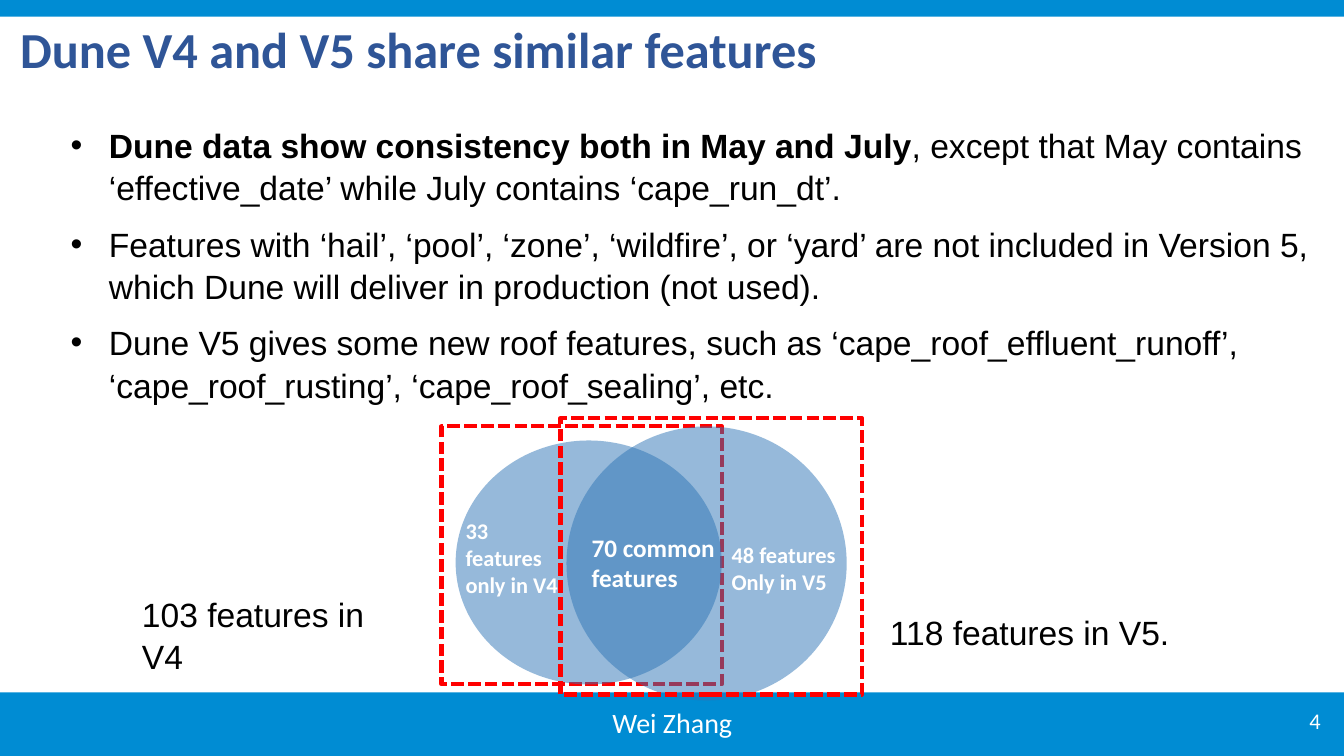
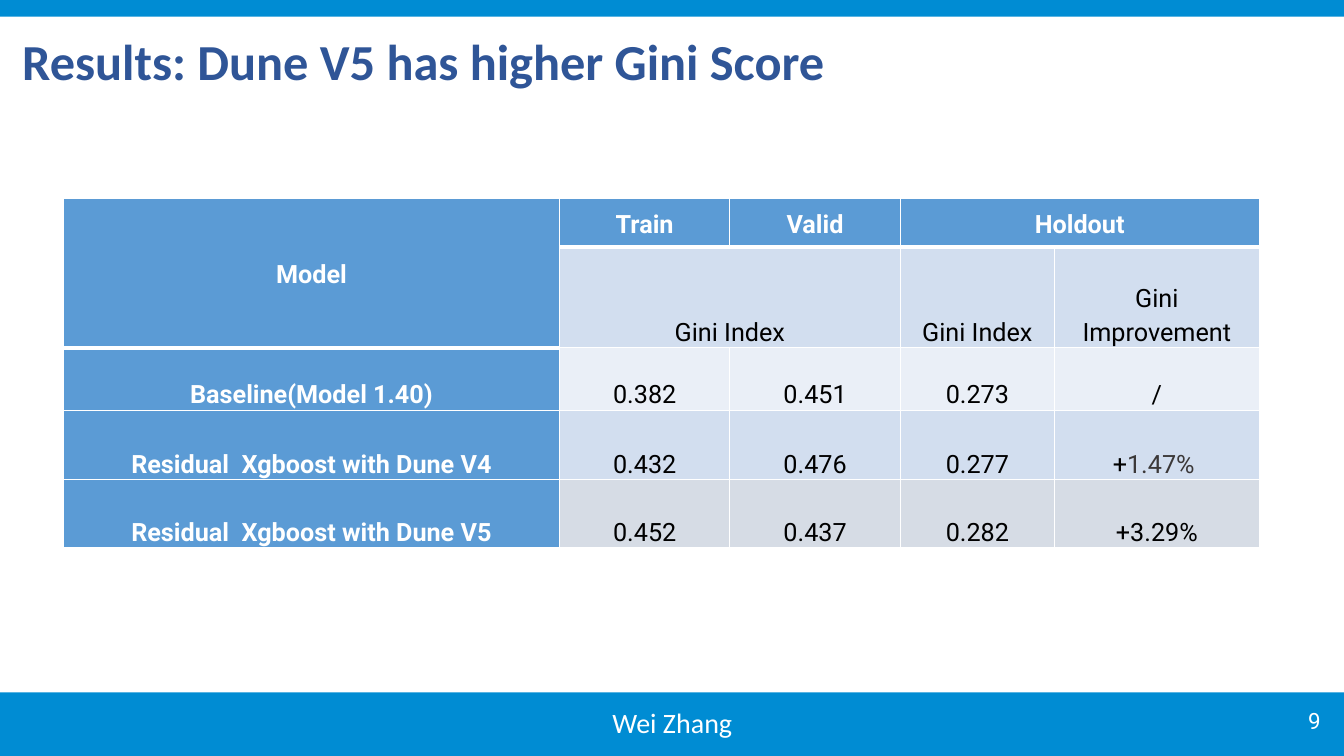
from pptx import Presentation
from pptx.dml.color import RGBColor
from pptx.enum.dml import MSO_LINE
from pptx.enum.shapes import MSO_SHAPE
from pptx.enum.text import MSO_ANCHOR, MSO_AUTO_SIZE, PP_ALIGN
from pptx.oxml.ns import qn
from pptx.util import Inches, Pt
from lxml.etree import SubElement

WIDE, HIGH = Inches(13.333), Inches(7.5)
WHITE = RGBColor(0xFF, 0xFF, 0xFF)
BLACK = RGBColor(0, 0, 0)
BAND = RGBColor(0x00, 0x8C, 0xD3)
NAVY = RGBColor(0x2F, 0x55, 0x97)
VENN = RGBColor(0x2E, 0x75, 0xB6)
RED = RGBColor(0xFF, 0, 0)
HEAD = RGBColor(0x5B, 0x9B, 0xD5)
PALE = RGBColor(0xD2, 0xDE, 0xEF)
LIGHT = RGBColor(0xEA, 0xEF, 0xF7)
GREY = RGBColor(0xD6, 0xDC, 0xE5)
DARK = RGBColor(0x3B, 0x38, 0x38)

TITLE = {"name": "Calibri", "size": Pt(36), "bold": True, "rgb": NAVY}
FOOT = {"name": "Calibri", "size": Pt(20), "rgb": WHITE}
PAGE = FOOT | {"size": Pt(16)}
BODY = {"name": "Arial", "size": Pt(24), "bold": False, "rgb": BLACK}
LABEL = {"name": "Calibri", "size": Pt(16), "bold": True, "rgb": WHITE}
KEY = {"name": "Roboto", "size": Pt(18), "bold": True, "rgb": WHITE}
DATA = KEY | {"bold": False, "rgb": BLACK}

POINTS = [
    [("Dune data show consistency both in May and July", {"bold": True}),
     (", except that May contains ‘effective_date’ while July contains ‘cape_run_dt’.", {})],
    [("Features with ‘hail’, ‘pool’, ‘zone’, ‘wildfire’, or ‘yard’ are not included in "
      "Version 5, which Dune will deliver in production (not used).", {})],
    [("Dune V5 gives some new roof features, such as ‘cape_roof_effluent_runoff’, "
      "‘cape_roof_rusting’, ‘cape_roof_sealing’, etc.", {})],
]
SCORES = [
    ["Model", "Train", "Valid", "Holdout", ""],
    ["", "Gini Index", "", "Gini Index", "Gini Improvement"],
    ["Baseline(Model 1.40)", "0.382", "0.451", "0.273", "/"],
    ["Residual  Xgboost with Dune V4", "0.432", "0.476", "0.277",
     [("+", {}), ("1.47% ", {"rgb": DARK})]],
    ["Residual  Xgboost with Dune V5", "0.452", "0.437", "0.282", "+3.29%"],
]
FILLS = [HEAD, PALE, LIGHT, PALE, GREY]
COLS = [36.9, 12.68, 12.68, 11.48, 15.22]
ROWS = [6.4, 13.33, 8.27, 9.2, 8.93]
SPANS = [(0, 0, 1, 0), (0, 3, 0, 4), (1, 1, 1, 2)]


def across(share):
    return round(WIDE * share / 100)


def down(share):
    return round(HIGH * share / 100)


def place(x, y, w, h):
    return across(x), down(y), across(w), down(h)


def style(item, form):
    for key, val in form.items():
        setattr(item, key, val)


def write(para, text, look, form={}):
    style(para, form)
    for words, extra in [(text, {})] if isinstance(text, str) else text:
        run = para.add_run()
        run.text = words
        for key, val in (look | extra).items():
            setattr(run.font.color if key == "rgb" else run.font, key, val)


def fill_text(frame, lines, look, form={}, anchor=MSO_ANCHOR.TOP):
    style(frame, {"word_wrap": True, "auto_size": MSO_AUTO_SIZE.NONE,
                  "vertical_anchor": anchor})
    for num, line in enumerate(lines):
        para = frame.add_paragraph() if num else frame.paragraphs[0]
        write(para, line, look, form)


def add_text(shapes, spot, lines, look, form={}, anchor=MSO_ANCHOR.TOP):
    fill_text(shapes.add_textbox(*place(*spot)).text_frame, lines, look, form, anchor)


def add_block(shapes, kind, spot, color, clear=None):
    block = shapes.add_shape(kind, *place(*spot))
    block.shadow.inherit = False
    block.fill.solid()
    block.fill.fore_color.rgb = color
    block.line.fill.background()
    if clear:
        tint = block.fill._xPr.find(".//" + qn("a:srgbClr"))
        SubElement(tint, qn("a:alpha"), val=str(clear * 1000))


def add_frame(shapes, spot):
    frame = shapes.add_shape(MSO_SHAPE.RECTANGLE, *place(*spot))
    frame.shadow.inherit = False
    frame.fill.background()
    frame.line.color.rgb = RED
    style(frame.line, {"width": Pt(3), "dash_style": MSO_LINE.SQUARE_DOT})


def add_page(deck, layout, title, spot, anchor, number, face):
    slide = deck.slides.add_slide(deck.slide_layouts[layout])
    for band in [(0, 91.6, 100, 8.4), (0, 0, 100, 2.2)]:
        add_block(slide.shapes, MSO_SHAPE.RECTANGLE, band, BAND)
    head = slide.shapes.title
    style(head, dict(zip(("left", "top", "width", "height"), place(*spot))))
    fill_text(head.text_frame, [title], TITLE,
              {"alignment": PP_ALIGN.LEFT, "line_spacing": 0.9}, anchor)
    add_text(slide.shapes, (76.5, 92.67, 22.5, 5.33), [number], PAGE | {"name": face},
             {"alignment": PP_ALIGN.RIGHT}, MSO_ANCHOR.MIDDLE)
    add_text(slide.shapes, (33.15, 92.67, 33.75, 5.33), ["Wei Zhang"], FOOT,
             {"alignment": PP_ALIGN.CENTER})
    return slide


def add_list(slide, spot):
    body = slide.placeholders[1]
    style(body, dict(zip(("left", "top", "width", "height"), place(*spot))))
    fill_text(body.text_frame, POINTS, BODY)
    for num, para in enumerate(body.text_frame.paragraphs):
        props = para._p.get_or_add_pPr()
        props.set("marL", str(Inches(0.38)))
        props.set("indent", str(-Inches(0.38)))
        SubElement(props, qn("a:buChar"), char="•")
        style(para, {"line_spacing": 1.05, "space_after": Pt(5),
                     "space_before": Pt(5 if num else 0)})


def add_venn(slide):
    shapes = slide.shapes.add_group_shape().shapes
    add_frame(shapes, (32.85, 56.4, 20.85, 34.13))
    for spot in [(33.9, 58.27, 19.8, 32.27), (42.15, 56.4, 20.85, 36.27)]:
        add_block(shapes, MSO_SHAPE.OVAL, spot, VENN, 50)
    for spot, lines, size in [
        ((33.9, 67.73, 8.78, 11.2), ["33 features only in V4"], 16),
        ((43.28, 69.73, 13.5, 8.67), ["70 common features"], 18),
        ((53.7, 70.93, 16.65, 7.87), ["48 features", "Only in V5"], 16),
    ]:
        add_text(shapes, spot, lines, LABEL | {"size": Pt(size)})
    add_text(shapes, (65.48, 82.27, 34, 4.53), ["118 features in V5."], BODY,
             {"line_spacing": Pt(18)})
    add_text(shapes, (9.82, 77.6, 21.3, 12), ["103 features in V4"], BODY,
             {"line_spacing": 1.05})
    add_frame(shapes, (41.7, 55.33, 22.43, 36.53))


def thick(row, col):
    return row == 0 or (row, col) == (1, 0)


def edge(cell, row, col):
    props = cell._tc.get_or_add_tcPr()
    sides = {"L": 1, "R": 1, "T": 3 if thick(row - 1, col) else 1,
             "B": 3 if thick(row, col) else 1}
    for side, width in sides.items():
        line = SubElement(props, qn("a:ln" + side), w=str(Pt(width)))
        SubElement(SubElement(line, qn("a:solidFill")), qn("a:srgbClr"), val=str(WHITE))


def add_grid(slide, x, y):
    table = slide.shapes.add_table(
        len(ROWS), len(COLS), *place(x, y, sum(COLS), sum(ROWS))).table
    style(table, {"first_row": False, "horz_banding": False})
    for col, share in zip(table.columns, COLS):
        col.width = across(share)
    for row, share in zip(table.rows, ROWS):
        row.height = down(share)
    for top, left, low, right in SPANS:
        table.cell(top, left).merge(table.cell(low, right))
    for row, texts in enumerate(SCORES):
        pad = Inches(0.07 if row < 3 else 0.01)
        form = {"alignment": PP_ALIGN.CENTER, "line_spacing": 1.15 if row < 3 else 1.0}
        for col, text in enumerate(texts):
            cell = table.cell(row, col)
            key = row == 0 or col == 0
            style(cell, {"margin_left": pad, "margin_right": pad, "margin_bottom": 0,
                         "margin_top": 0 if row < 3 else pad,
                         "vertical_anchor": MSO_ANCHOR.BOTTOM if row else MSO_ANCHOR.MIDDLE})
            edge(cell, row, col)
            cell.fill.solid()
            cell.fill.fore_color.rgb = HEAD if key else FILLS[row]
            if text:
                write(cell.text_frame.paragraphs[0], text, KEY if key else DATA, form)


def main():
    deck = Presentation()
    style(deck, {"slide_width": WIDE, "slide_height": HIGH})
    slide = add_page(deck, 1, "Dune V4 and V5 share similar features",
                     (0.75, 2.4, 91.95, 8.93), MSO_ANCHOR.MIDDLE, "4", "Calibri")
    add_list(slide, (4.5, 15.6, 95.5, 37.33))
    add_venn(slide)
    slide = add_page(deck, 5, "Results: Dune V5 has higher Gini Score",
                     (0.9, 4.27, 64.8, 10.4), MSO_ANCHOR.TOP, "9", "Roboto")
    add_grid(slide, 4.73, 26.27)
    deck.save("out.pptx")


if __name__ == "__main__":
    main()
